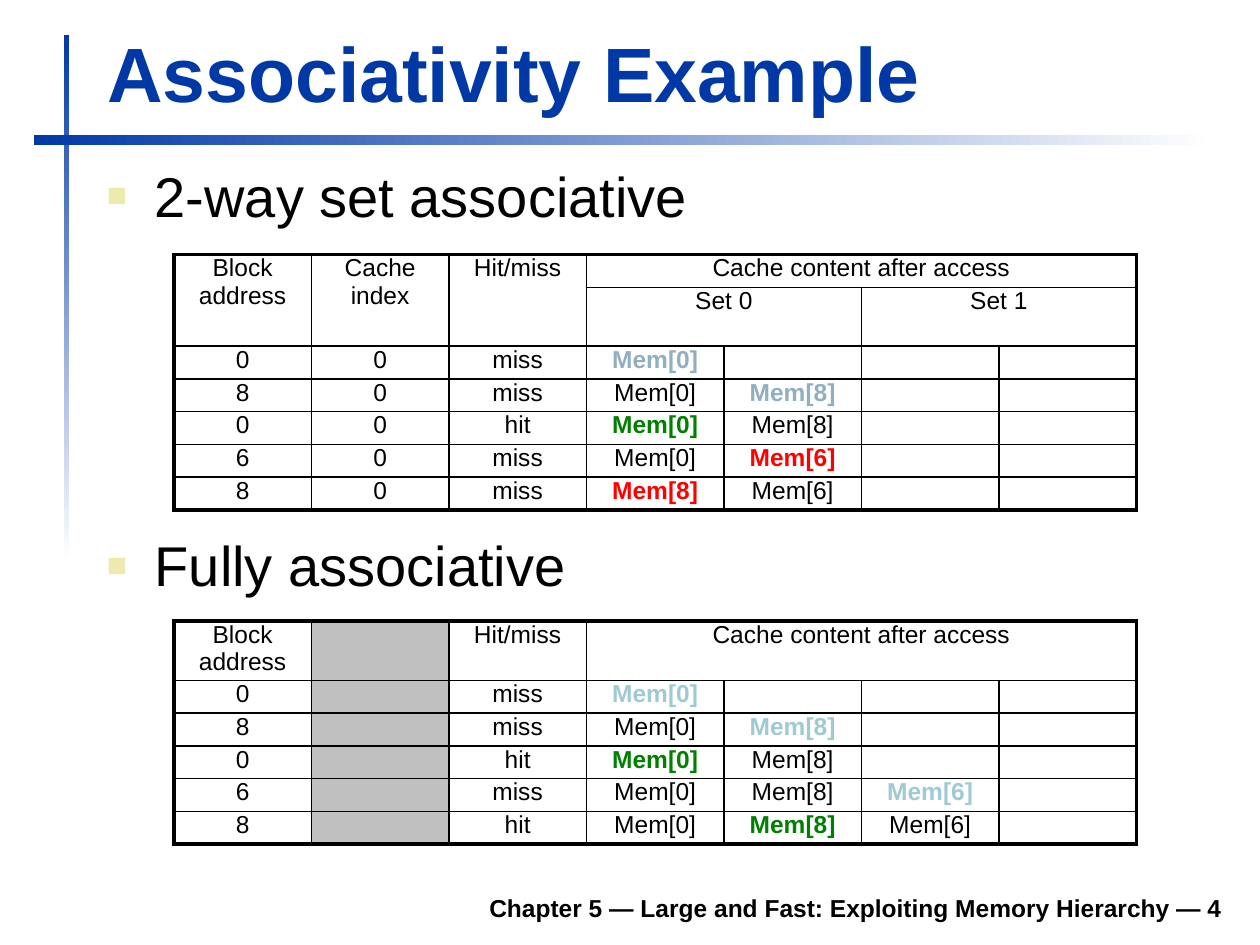
from lxml import etree
from pptx import Presentation
from pptx.dml.color import RGBColor
from pptx.enum.shapes import MSO_SHAPE
from pptx.enum.text import MSO_ANCHOR, PP_ALIGN
from pptx.oxml.ns import qn
from pptx.util import Inches, Pt

RECTANGLE = MSO_SHAPE.RECTANGLE
TOP, BOTTOM = MSO_ANCHOR.TOP, MSO_ANCHOR.BOTTOM
LEFT, CENTER, RIGHT = PP_ALIGN.LEFT, PP_ALIGN.CENTER, PP_ALIGN.RIGHT

FONT = "Arial"
BLUE, BLACK, WHITE, GRAY = "0039A6", "000000", "FFFFFF", "C0C0C0"
BULLET_COLOR = "ECEAAC"
STEEL, AQUA, GREEN, RED = "91AFBF", "9FCAD3", "008000", "FF0000"
THIN, THICK = 1, 2.25

TITLE = "Associativity Example"
FOOTER = "Chapter 5 — Large and Fast: Exploiting Memory Hierarchy — 4"

# left, top, width, height in inches, then the gradient angle
RULES = [
    ((0.51, 0.28, 0.04, 4.17), 270),
    ((0.27, 1.07, 9.37, 0.08), 0),
]
HEADINGS = [
    ("2-way set associative", (0.75, 1.23, 9.05, 0.79), None),
    ("Fully associative", (0.75, 4.22, 8.5, 0.63), 0.9),
]

# A coloured entry is (text, colour); a merge is (row, column, last row, last column).
TABLE_LEFT, TABLE_WIDTH, COLUMNS, ROW_HEIGHT = 1.38, 7.64, 7, 0.26
TABLES = [
    {
        "top": 2.02,
        "header_height": ROW_HEIGHT,
        "gray_column": None,
        "merges": [(0, 0, 1, 0), (0, 1, 1, 1), (0, 2, 1, 2),
                   (0, 3, 0, 6), (1, 3, 1, 4), (1, 5, 1, 6)],
        "rows": [
            ["Block address", "Cache index", "Hit/miss", "Cache content after access"],
            ["", "", "", "Set 0", "", "Set 1"],
            ["0", "0", "miss", ("Mem[0]", STEEL)],
            ["8", "0", "miss", "Mem[0]", ("Mem[8]", STEEL)],
            ["0", "0", "hit", ("Mem[0]", GREEN), "Mem[8]"],
            ["6", "0", "miss", "Mem[0]", ("Mem[6]", RED)],
            ["8", "0", "miss", ("Mem[8]", RED), "Mem[6]"],
        ],
    },
    {
        "top": 4.93,
        "header_height": 0.47,
        "gray_column": 1,
        "merges": [(0, 3, 0, 6)],
        "rows": [
            ["Block address", "", "Hit/miss", "Cache content after access"],
            ["0", "", "miss", ("Mem[0]", AQUA)],
            ["8", "", "miss", "Mem[0]", ("Mem[8]", AQUA)],
            ["0", "", "hit", ("Mem[0]", GREEN), "Mem[8]"],
            ["6", "", "miss", "Mem[0]", "Mem[8]", ("Mem[6]", AQUA)],
            ["8", "", "hit", "Mem[0]", ("Mem[8]", GREEN), "Mem[6]"],
        ],
    },
]


def rgb(color):
    return RGBColor.from_string(color)


def inches(box):
    return [Inches(length) for length in box]


def add_xml(parent, tag, **attributes):
    return etree.SubElement(parent, qn(tag), attributes)


def write(frame, text, size=14, color=BLACK, bold=False, align=LEFT, anchor=TOP,
          line_spacing=None, space_percent=0, bullet=None):
    frame.word_wrap = True
    frame.vertical_anchor = anchor
    paragraph = frame.paragraphs[0]
    paragraph.alignment = align
    if line_spacing:
        paragraph.line_spacing = line_spacing
    properties = paragraph._p.get_or_add_pPr()
    if space_percent:
        add_xml(add_xml(properties, "a:spcBef"), "a:spcPct", val=str(space_percent * 1000))
    if bullet:
        properties.set("marL", str(Inches(0.38)))
        properties.set("indent", str(-Inches(0.38)))
        add_xml(add_xml(properties, "a:buClr"), "a:srgbClr", val=BULLET_COLOR)
        add_xml(properties, "a:buSzPct", val="60000")
        add_xml(properties, "a:buFont", typeface=FONT)
        add_xml(properties, "a:buChar", char=bullet)
    if not text:  # an empty cell must not make its row taller
        add_xml(paragraph._p, "a:endParaRPr", sz=str(size * 100))
        return
    run = paragraph.add_run()
    run.text = text
    run.font.name, run.font.size, run.font.bold = FONT, Pt(size), bold
    run.font.color.rgb = rgb(color)


def add_rule(slide, box, angle):
    """Draw a bar that fades from blue to white."""
    bar = slide.shapes.add_shape(RECTANGLE, *inches(box))
    bar.shadow.inherit = False
    bar.line.fill.background()
    bar.fill.gradient()
    bar.fill.gradient_angle = angle
    for stop, color, position in zip(bar.fill.gradient_stops, (BLUE, WHITE), (0, 1)):
        stop.color.rgb = rgb(color)
        stop.position = position


def add_text(slide, text, box, **style):
    write(slide.shapes.add_textbox(*inches(box)).text_frame, text, **style)


def set_borders(cell, thick_sides):
    properties = cell._tc.get_or_add_tcPr()
    for side in "LRTB":
        width = THICK if side in thick_sides else THIN
        line = add_xml(properties, f"a:ln{side}", w=str(Pt(width)))
        add_xml(add_xml(line, "a:solidFill"), "a:srgbClr", val=BLACK)


def add_cache_table(slide, top, header_height, gray_column, merges, rows):
    heights = [header_height] + [ROW_HEIGHT] * (len(rows) - 1)
    box = (TABLE_LEFT, top, TABLE_WIDTH, sum(heights))
    table = slide.shapes.add_table(len(rows), COLUMNS, *inches(box)).table
    table.first_row = table.horz_banding = False
    for column in table.columns:
        column.width = Inches(TABLE_WIDTH / COLUMNS)
    for row, height in zip(table.rows, heights):
        row.height = Inches(height)
    ends = {(r, c): (last_r, last_c) for r, c, last_r, last_c in merges}
    for (r, c), end in ends.items():
        table.cell(r, c).merge(table.cell(*end))

    for r, entries in enumerate(rows):
        for c in range(COLUMNS):
            cell = table.cell(r, c)
            entry = entries[c] if c < len(entries) else ""
            text, color = entry if isinstance(entry, tuple) else (entry, BLACK)
            cell.margin_left = cell.margin_right = Inches(0.1)
            cell.margin_top = cell.margin_bottom = 0
            last_r, last_c = ends.get((r, c), (r, c))
            outer = {"L": c == 0, "R": last_c == COLUMNS - 1,
                     "T": r == 0, "B": last_r == len(rows) - 1}
            set_borders(cell, [side for side, is_outer in outer.items() if is_outer])
            if c == gray_column:
                cell.fill.solid()
                cell.fill.fore_color.rgb = rgb(GRAY)
            else:
                cell.fill.background()
            write(cell.text_frame, text, color=color, bold=color != BLACK,
                  align=CENTER, space_percent=20)


def main():
    presentation = Presentation()
    presentation.slide_width, presentation.slide_height = Inches(10), Inches(7.5)
    title_only = presentation.slide_layouts[5]
    slide = presentation.slides.add_slide(title_only)

    for box, angle in RULES:
        add_rule(slide, box, angle)
    add_text(slide, FOOTER, (1.85, 6.98, 7.95, 0.39), bold=True, align=RIGHT, anchor=BOTTOM)

    title = slide.shapes.title
    title.left, title.top, title.width, title.height = inches((0.75, 0.16, 9.03, 0.83))
    write(title.text_frame, TITLE, size=44, color=BLUE, bold=True, anchor=BOTTOM)

    for (text, box, line_spacing), table in zip(HEADINGS, TABLES):
        add_text(slide, text, box, size=32, line_spacing=line_spacing,
                 space_percent=20, bullet="■")
        add_cache_table(slide, **table)
    presentation.save("out.pptx")


if __name__ == "__main__":
    main()
